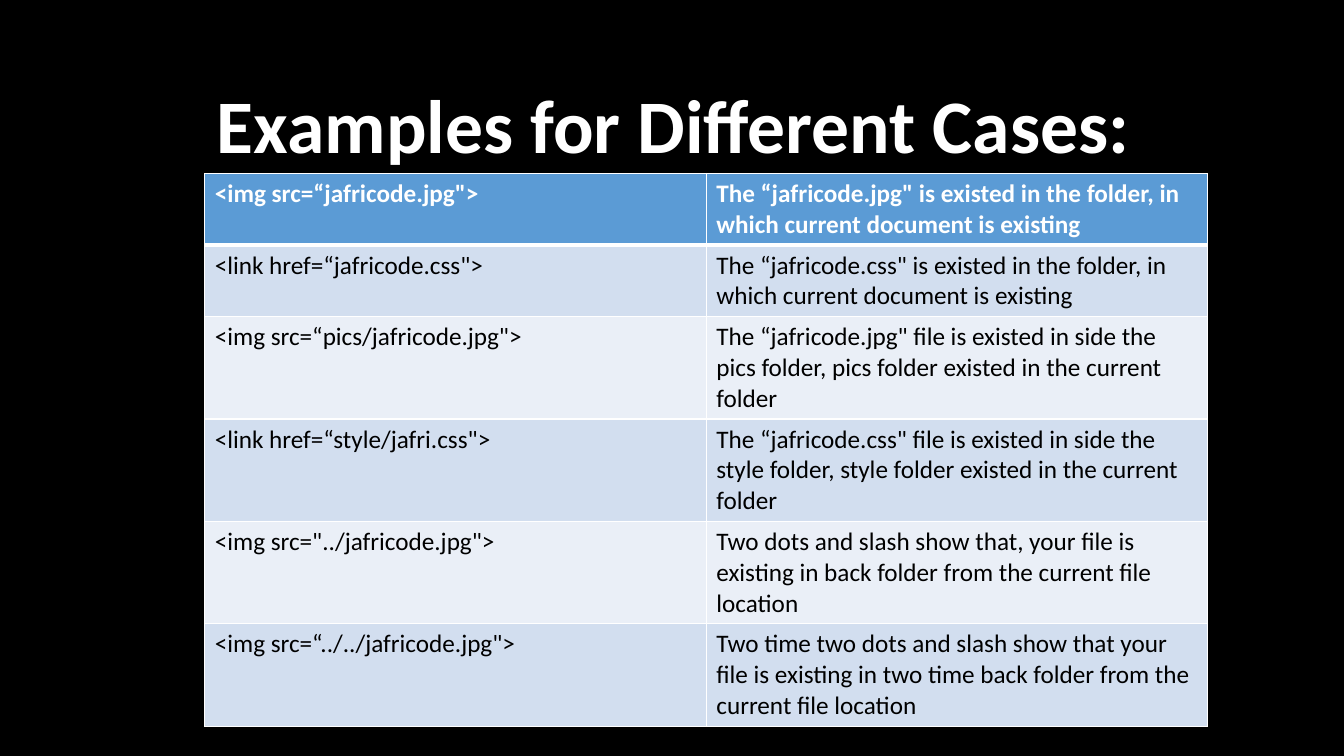
from dataclasses import dataclass

from lxml.etree import SubElement
from pptx import Presentation
from pptx.dml.color import RGBColor as Rgb
from pptx.enum.text import MSO_ANCHOR as Anchor, MSO_AUTO_SIZE as AutoSize, PP_ALIGN as Align
from pptx.oxml.ns import qn
from pptx.util import Cm, Pt


@dataclass(frozen=True)
class Theme:
    font: str = "Calibri"
    background: str = "000000"
    light: str = "FFFFFF"
    dark: str = "000000"
    header: str = "5B9BD5"
    bands: tuple = ("D2DEEF", "EAEFF7")
    title_size: int = 54
    table_size: int = 18
    thin_line: int = 1
    thick_line: int = 3


THEME = Theme()
TITLE = "Examples for Different Cases:"
# Each row: code, then its explanation (a line feed starts a new paragraph)
CASES = [
    ('<img src=“jafricode.jpg">',
     'The “jafricode.jpg" is existed in the folder, in which current document is existing'),
    ('<link href=“jafricode.css">',
     'The “jafricode.css" is existed in the folder, in which current document is existing'),
    ('<img src=“pics/jafricode.jpg">',
     'The “jafricode.jpg" file is existed in side the pics folder, '
     'pics folder existed in the current folder'),
    ('<link href=“style/jafri.css">',
     'The “jafricode.css" file is existed in side the style folder, '
     'style folder existed in the current folder'),
    ('<img src="../jafricode.jpg">',
     'Two dots and slash show that, your file is existing in back folder '
     'from the current file location'),
    ('<img src=“../../jafricode.jpg">',
     'Two time two dots and slash show that your file is existing '
     'in two time back folder from the\ncurrent file location'),
]
ROW_HEIGHTS = [1.63] * 2 + [2.31] * 4


def style_font(para, size, color, bold):
    font = para.font
    font.name, font.size, font.bold = THEME.font, Pt(size), bold
    font.color.rgb = Rgb.from_string(color)


def add_title(page):
    title = page.shapes.title
    title.left, title.top, title.width, title.height = Cm(0.86), Cm(2.29), Cm(32.23), Cm(2.08)
    frame = title.text_frame
    frame.text = TITLE
    frame.auto_size, frame.word_wrap = AutoSize.NONE, True
    frame.vertical_anchor = Anchor.BOTTOM
    para = frame.paragraphs[0]
    para.alignment = Align.CENTER
    style_font(para, THEME.title_size, THEME.light, True)


def add_borders(cell, top, bottom):
    thin = THEME.thin_line
    properties = cell._tc.get_or_add_tcPr()
    for side, width in (("L", thin), ("R", thin), ("T", top), ("B", bottom)):
        line = SubElement(properties, qn(f"a:ln{side}"), w=str(Pt(width)))
        fill = SubElement(line, qn("a:solidFill"))
        SubElement(fill, qn("a:srgbClr"), val=THEME.light)


def fill_cell(cell, text, row):
    is_header = row == 0
    thin, thick = THEME.thin_line, THEME.thick_line
    # Borders come before the fill in the cell properties
    add_borders(cell, thick if row == 1 else thin, thick if is_header else thin)
    cell.fill.solid()
    band = THEME.header if is_header else THEME.bands[(row - 1) % 2]
    cell.fill.fore_color.rgb = Rgb.from_string(band)
    cell.text = text
    for para in cell.text_frame.paragraphs:
        style_font(para, THEME.table_size, THEME.light if is_header else THEME.dark, is_header)


def add_case_table(page):
    table = page.shapes.add_table(
        len(CASES), 2, Cm(5.16), Cm(4.37), Cm(25.28), Cm(sum(ROW_HEIGHTS))).table
    for column in table.columns:
        column.width = Cm(12.64)
    for row, (texts, height) in enumerate(zip(CASES, ROW_HEIGHTS)):
        table.rows[row].height = Cm(height)
        for column, text in enumerate(texts):
            fill_cell(table.cell(row, column), text, row)


def main():
    deck = Presentation()
    deck.slide_width, deck.slide_height = Cm(33.87), Cm(19.05)
    page = deck.slides.add_slide(deck.slide_layouts[0])
    page.background.fill.solid()
    page.background.fill.fore_color.rgb = Rgb.from_string(THEME.background)

    # The subtitle is not needed
    subtitle = page.placeholders[1].element
    subtitle.getparent().remove(subtitle)

    add_title(page)
    add_case_table(page)
    deck.save("out.pptx")


if __name__ == "__main__":
    main()
